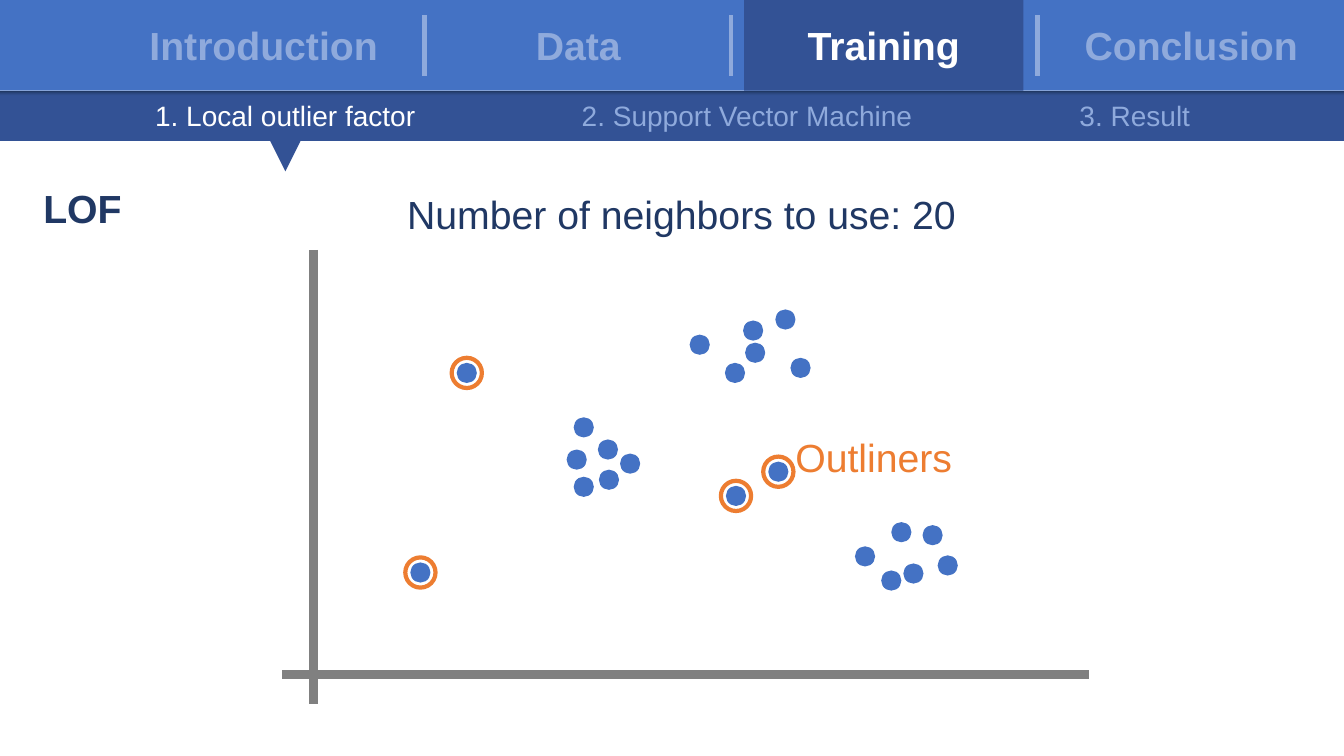
from pptx import Presentation
from pptx.dml.color import RGBColor
from pptx.enum.shapes import MSO_CONNECTOR as CONNECTOR, MSO_SHAPE as SHAPE
from pptx.enum.text import MSO_ANCHOR as ANCHOR, MSO_AUTO_SIZE as AUTO_SIZE, PP_ALIGN as ALIGN
from pptx.oxml.ns import qn
from pptx.util import Pt
from lxml.etree import SubElement

PX = 9144  # 100 px to the inch
SLIDE_W, SLIDE_H = 1333, 750
TAB_H, STEP_H = 90, 50

BLUE = RGBColor(0x44, 0x72, 0xC4)
DEEP_BLUE = RGBColor(0x33, 0x52, 0x95)
NAVY = RGBColor(0x20, 0x38, 0x64)
PALE_BLUE = RGBColor(0x8F, 0xAA, 0xDC)
WHITE = RGBColor(0xFF, 0xFF, 0xFF)
GREY = RGBColor(0x80, 0x80, 0x80)
ORANGE = RGBColor(0xED, 0x7D, 0x31)

# Content: label, left, width
TABS = [("Introduction", 123, 277), ("Data", 435, 277),
        ("Training", 738, 277), ("Conclusion", 1043, 277)]
CURRENT_TAB = "Training"
STEPS = [("1. Local outlier factor", 143, 280),
         ("2. Support Vector Machine", 566, 350), ("3. Result", 1060, 131)]
CURRENT_STEP = "1. Local outlier factor"
HEADING = "LOF"
LABELS = [("Outliners", 779, 425, 178, ORANGE),
          ("Number of neighbors to use: 20", 394, 184, 571, NAVY)]

# Centres of the plotted points
CLUSTERS = {
    "left": [(579, 483), (579, 424), (572, 456), (604, 476), (603, 446), (625, 460)],
    "top": [(749, 350), (694, 342), (729, 370), (747, 328), (794, 365), (779, 317)],
    "right": [(940, 561), (894, 528), (925, 531), (858, 552), (906, 569), (884, 576)],
}
OUTLIERS = [(463, 370), (417, 568), (730, 492), (772, 468)]
AXES = [(311, 248, 311, 698), (1080, 669, 280, 669)]
DOT, RING = 20, 30

deck = Presentation()
deck.slide_width, deck.slide_height = SLIDE_W * PX, SLIDE_H * PX
slide = deck.slides.add_slide(deck.slide_layouts[5])
shapes = slide.shapes


def box(*lengths):
    return [length * PX for length in lengths]


def add_shape(kind, left, top, width, height, fill=None, line=None):
    shape = shapes.add_shape(kind, *box(left, top, width, height))
    shape.shadow.inherit = False
    if fill is None:
        shape.fill.background()
    else:
        shape.fill.solid()
        shape.fill.fore_color.rgb = fill
    if line is None:
        shape.line.fill.background()
    else:
        shape.line.color.rgb = line
        shape.line.width = Pt(3)
    return shape


def add_circle(centre, size, **colours):
    x, y = centre
    add_shape(SHAPE.OVAL, x - size // 2, y - size // 2, size, size, **colours)


def add_line(x1, y1, x2, y2, colour, weight):
    line = shapes.add_connector(CONNECTOR.STRAIGHT, *box(x1, y1, x2, y2))
    line.line.color.rgb = colour
    line.line.width = Pt(weight)
    SubElement(line._element.spPr, qn("a:effectLst"))


def write(holder, text, size, colour, bold=False, align=ALIGN.LEFT, anchor=ANCHOR.TOP):
    frame = holder.text_frame
    frame.text = text
    frame.word_wrap = False
    frame.auto_size = AUTO_SIZE.NONE
    frame.vertical_anchor = anchor
    paragraph = frame.paragraphs[0]
    paragraph.alignment = align
    font = paragraph.runs[0].font
    font.name, font.size, font.bold = "Arial", Pt(size), bold
    font.color.rgb = colour


# Navigation bands
add_shape(SHAPE.RECTANGLE, 0, 0, SLIDE_W, TAB_H, fill=BLUE)
step_band = add_shape(SHAPE.RECTANGLE, 0, TAB_H, SLIDE_W, STEP_H)
step_band.fill.gradient()
step_band.fill.gradient_angle = 90
for stop, position, colour in zip(step_band.fill.gradient_stops, (0.9, 1), (DEEP_BLUE, NAVY)):
    stop.position = position
    stop.color.rgb = colour

# Tabs and their separators
for i in range(len(TABS) - 1):
    x = 421 + 304 * i
    add_line(x, 15, x, 75, PALE_BLUE, 3)
for name, left, width in TABS:
    current = name == CURRENT_TAB
    if current:
        tab = add_shape(SHAPE.RECTANGLE, left, 0, width, TAB_H, fill=DEEP_BLUE)
    else:
        tab = shapes.add_textbox(*box(left, 0, width, TAB_H))
    write(tab, name, 28, WHITE if current else PALE_BLUE, True, ALIGN.CENTER, ANCHOR.MIDDLE)

# Steps, with a pointer under the current one
for name, left, width in STEPS:
    current = name == CURRENT_STEP
    step = shapes.add_textbox(*box(left, 93, width, 44))
    write(step, name, 20, WHITE if current else PALE_BLUE, align=ALIGN.CENTER)
    if current:
        pointer = add_shape(SHAPE.ISOSCELES_TRIANGLE, left + width // 2 - 15,
                            TAB_H + STEP_H, 30, 30, fill=DEEP_BLUE)
        pointer.rotation = 180

# Heading
heading = shapes.title
heading.left, heading.top, heading.width, heading.height = box(33, 178, 99, 57)
write(heading, HEADING, 28, NAVY, bold=True)

# Scatter diagram
for axis in AXES:
    add_line(*axis, GREY, 6)
for centre in sum(CLUSTERS.values(), OUTLIERS):
    add_circle(centre, DOT, fill=BLUE)
for centre in OUTLIERS:
    add_circle(centre, RING, line=ORANGE)

# Diagram labels
for text, left, top, width, colour in LABELS:
    write(shapes.add_textbox(*box(left, top, width, 57)), text, 28, colour)

deck.save("out.pptx")
